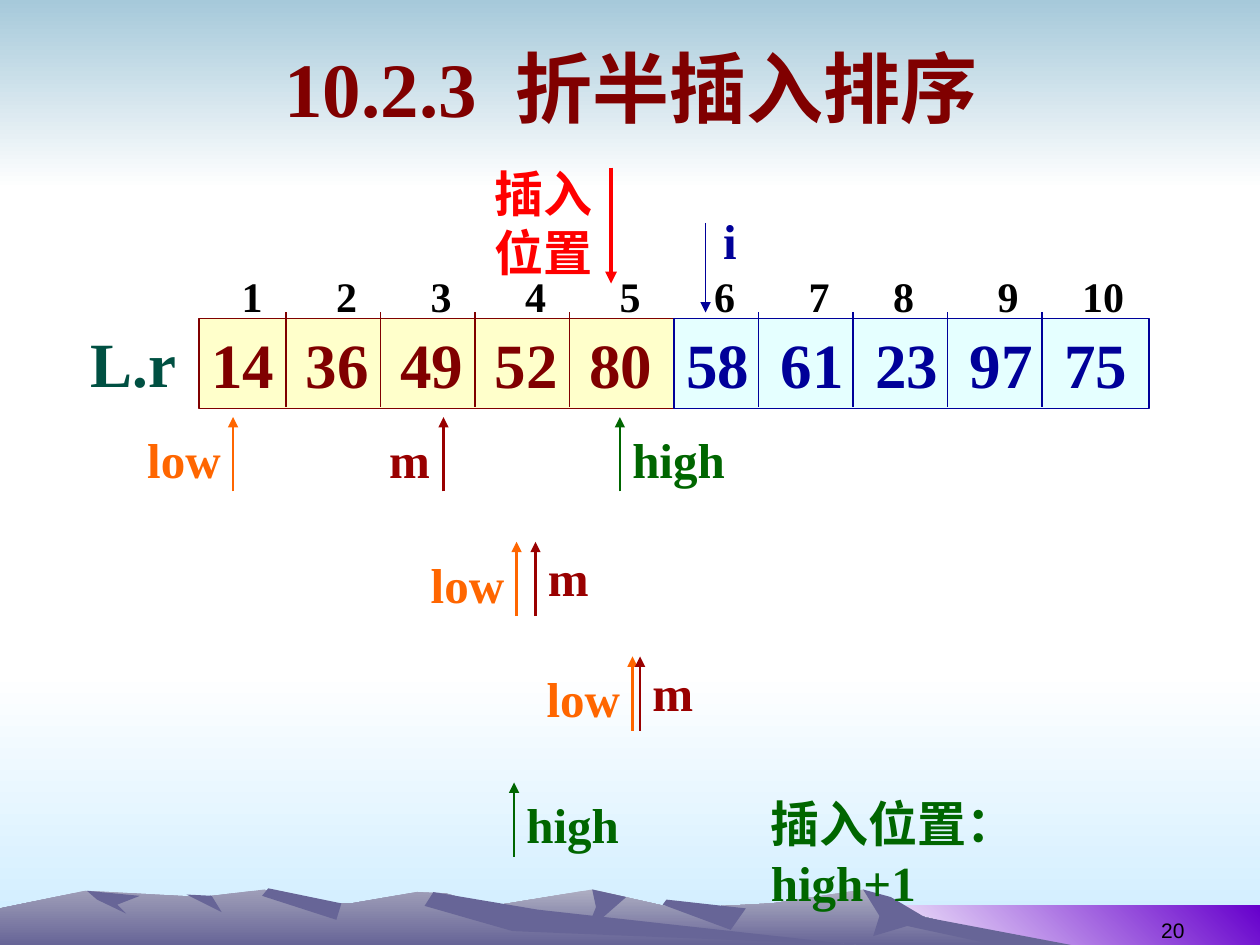
from dataclasses import dataclass

from lxml import etree
from pptx import Presentation
from pptx.dml.color import RGBColor
from pptx.enum.shapes import MSO_CONNECTOR, MSO_SHAPE
from pptx.enum.text import MSO_ANCHOR as Anchor, PP_ALIGN as Align
from pptx.oxml.ns import qn
from pptx.util import Inches, Pt

COLORS = {
    "white": "FFFFFF", "black": "000000", "sky": "A6C9DA", "ice": "CCECFF",
    "violet": "6600CC", "rock": "676597", "far_rock": "AEAEC2",
    "near_rock": "9F9EB8", "maroon": "800000", "navy": "000099",
    "yellow": "FFFF99", "cyan": "CCFFFF", "red": "FF0000",
    "low": "FF6600", "m": "990000", "high": "006600", "teal": "005042",
}
SERIF = "Times New Roman"
PITCH = 0.75  # distance between neighbouring array slots
LABEL_WIDTH = {"low": 0.78, "m": 0.53, "high": 0.94}


@dataclass
class Band:
    box: tuple[float, float, float, float]
    start: str
    end: str
    angle: int


@dataclass
class Ridge:
    points: list[tuple[float, float]]
    top: str = "rock"


@dataclass
class Segment:
    left: float
    values: list[int]
    fill: str
    ink: str
    first_divider: float


@dataclass
class Pointer:
    name: str
    x: float
    tip: float
    label_dy: float = 0.05
    label_left: bool = False


BANDS = [
    Band((0, 5.33, 10, 2.17), "white", "ice", 270),
    Band((0, 0, 10, 1.5), "sky", "white", 270),
    Band((6.83, 7.19, 3.17, 0.31), "white", "violet", 45),
]

RIDGES = [
    # Far range and its shaded faces
    Ridge([(2.6, 7.5), (3.55, 7.25), (4.7, 7.06), (5.36, 7.21), (6.13, 7.17),
           (6.85, 7.06), (7.23, 7.25), (8.2, 7.5)], "far_rock"),
    Ridge([(6.85, 7.06), (7.07, 7.12), (7.34, 7.28), (8.5, 7.5), (7.9, 7.5),
           (7.2, 7.35), (6.93, 7.43), (6.98, 7.27)]),
    Ridge([(4.7, 7.06), (4.97, 7.12), (4.65, 7.4), (4.73, 7.2)]),
    Ridge([(5.29, 7.14), (5.92, 7.21), (5.8, 7.38), (5.26, 7.18)]),
    # Near range and its shaded faces
    Ridge([(0, 7.5), (0, 7.21), (0.68, 7.07), (1.6, 7.12), (2.1, 7.06), (2.36, 7.17),
           (2.79, 7.17), (3.31, 7.08), (3.54, 7.09), (4.32, 7.32), (6.8, 7.5)],
          "near_rock"),
    Ridge([(2.13, 7.05), (2.71, 7.17), (2.67, 7.3), (2.08, 7.11)]),
    Ridge([(3.44, 7.08), (4.27, 7.22), (6.8, 7.5), (4.07, 7.39), (3.37, 7.19)]),
    Ridge([(0.69, 7.07), (1.11, 7.11), (0.93, 7.18), (1, 7.25), (0.77, 7.14)]),
    Ridge([(1.48, 7.1), (1.68, 7.11), (1.76, 7.24)]),
]

SEGMENTS = [
    Segment(1.58, [14, 36, 49, 52, 80], "yellow", "maroon", 2.27),
    Segment(5.35, [58, 61, 23, 97, 75], "cyan", "navy", 6.02),
]

POINTERS = [
    Pointer("low", 1.85, 3.31, label_left=True),
    Pointer("m", 3.52, 3.31, label_left=True),
    Pointer("high", 4.92, 3.31),
    Pointer("low", 4.1, 4.3, label_left=True),
    Pointer("m", 4.25, 4.3, label_dy=0),
    Pointer("low", 5.02, 5.21, label_left=True),
    Pointer("m", 5.08, 5.21, label_dy=0),
    Pointer("high", 4.08, 6.21),
]


def rgb(name: str) -> RGBColor:
    return RGBColor.from_string(COLORS[name])


def paint(sp, start: str, end: str, angle: int = 270) -> None:
    sp.shadow.inherit = False
    sp.line.fill.background()
    if start == end:
        sp.fill.solid()
        sp.fill.fore_color.rgb = rgb(start)
        return
    sp.fill.gradient()
    sp.fill.gradient_angle = angle
    for stop, name in zip(sp.fill.gradient_stops, (start, end)):
        stop.color.rgb = rgb(name)


def write(tf, lines: list[str], size: int, color: str, font: str = SERIF,
          bold: bool = True, align=Align.LEFT, tabs: tuple = ()) -> None:
    for i, line in enumerate(lines):
        p = tf.paragraphs[0] if i == 0 else tf.add_paragraph()
        p.text, p.alignment = line, align
        p.font.size, p.font.name, p.font.bold = Pt(size), font, bold
        p.font.color.rgb = rgb(color)
        if tabs:
            tab_list = etree.Element(qn("a:tabLst"))
            for pos in tabs:
                etree.SubElement(tab_list, qn("a:tab"), pos=str(Inches(pos)), algn="l")
            p._p.get_or_add_pPr().insert(0, tab_list)


def add_label(shapes, box: tuple, lines: list[str], size: int, color: str,
              wrap: bool = False, anchor=Anchor.TOP, **style) -> None:
    tf = shapes.add_textbox(*map(Inches, box)).text_frame
    tf.word_wrap, tf.vertical_anchor = wrap, anchor
    write(tf, lines, size, color, **style)


def add_line(shapes, x: float, y1: float, y2: float, color: str, width: float,
             arrow: bool = False) -> None:
    ln = shapes.add_connector(MSO_CONNECTOR.STRAIGHT, *map(Inches, (x, y1, x, y2)))
    ln.line.color.rgb, ln.line.width = rgb(color), Pt(width)
    if arrow:
        etree.SubElement(ln.line._get_or_add_ln(), qn("a:tailEnd"), type="triangle")
    etree.SubElement(ln._element.spPr, qn("a:effectLst"))


def add_ridge(shapes, ridge: Ridge) -> None:
    points = [(Inches(x), Inches(y)) for x, y in ridge.points]
    builder = shapes.build_freeform(*points[0])
    builder.add_line_segments(points[1:], close=True)
    paint(builder.convert_to_shape(), ridge.top, "rock")


def add_segment(shapes, seg: Segment) -> None:
    box = (seg.left, 2.53, 3.77, 0.71)
    sp = shapes.add_shape(MSO_SHAPE.RECTANGLE, *map(Inches, box))
    paint(sp, seg.fill, seg.fill)
    color = sp._element.spPr.find(qn("a:solidFill"))[0]
    etree.SubElement(color, qn("a:alpha"), val="50000")
    sp.line.color.rgb, sp.line.width = rgb(seg.ink), Pt(0.75)
    tabs = tuple(PITCH * k for k in range(1, len(seg.values)))
    write(sp.text_frame, ["\t".join(map(str, seg.values))], 36, seg.ink, tabs=tabs)
    for k in range(len(seg.values) - 1):
        add_line(shapes, seg.first_divider + PITCH * k, 2.48, 3.23, seg.ink, 0.75)


def add_pointer(shapes, ptr: Pointer) -> None:
    add_line(shapes, ptr.x, ptr.tip + 0.59, ptr.tip, ptr.name, 1.5, arrow=True)
    width = LABEL_WIDTH[ptr.name]
    left = ptr.x - width if ptr.label_left else ptr.x
    add_label(shapes, (left, ptr.tip + ptr.label_dy, width, 0.57), [ptr.name], 28, ptr.name)


def main() -> None:
    prs = Presentation()
    prs.slide_width, prs.slide_height = Inches(10), Inches(7.5)
    shapes = prs.slides.add_slide(prs.slide_layouts[6]).shapes

    # Backdrop: colour bands and mountains
    for band in BANDS:
        sp = shapes.add_shape(MSO_SHAPE.RECTANGLE, *map(Inches, band.box))
        paint(sp, band.start, band.end, band.angle)
    for ridge in RIDGES:
        add_ridge(shapes, ridge)

    # Title and slide number
    add_label(shapes, (0.51, 0.13, 9, 1.12), ["10.2.3  折半插入排序"], 44, "maroon",
              wrap=True, anchor=Anchor.MIDDLE, align=Align.CENTER)
    add_label(shapes, (7.17, 7.03, 2.33, 0.5), ["20"], 12, "black", wrap=True,
              anchor=Anchor.BOTTOM, font="Arial", bold=False, align=Align.RIGHT)

    # Array with its name and indices
    for seg in SEGMENTS:
        add_segment(shapes, seg)
    add_label(shapes, (0.62, 2.53, 0.88, 0.7), ["L.r"], 36, "teal")
    stops = tuple(PITCH * k - (0.08 if k in (7, 9) else 0) for k in range(1, 10))
    add_label(shapes, (1.82, 2.1, 7.53, 0.5), ["\t".join(map(str, range(1, 11)))],
              24, "black", wrap=True, tabs=stops)

    # Insert position and current element
    add_line(shapes, 4.85, 1.33, 2.25, "red", 2.25, arrow=True)
    add_label(shapes, (3.83, 1.25, 0.98, 1.03), ["插入", "位置"], 28, "red")
    add_line(shapes, 5.6, 1.77, 2.48, "navy", 1, arrow=True)
    add_label(shapes, (5.64, 1.62, 0.31, 0.57), ["i"], 28, "navy")

    # Search steps and result
    for ptr in POINTERS:
        add_pointer(shapes, ptr)
    add_label(shapes, (6.02, 6.25, 3.1, 0.57), ["插入位置：high+1"], 28, "high", wrap=True)

    prs.save("out.pptx")


if __name__ == "__main__":
    main()
